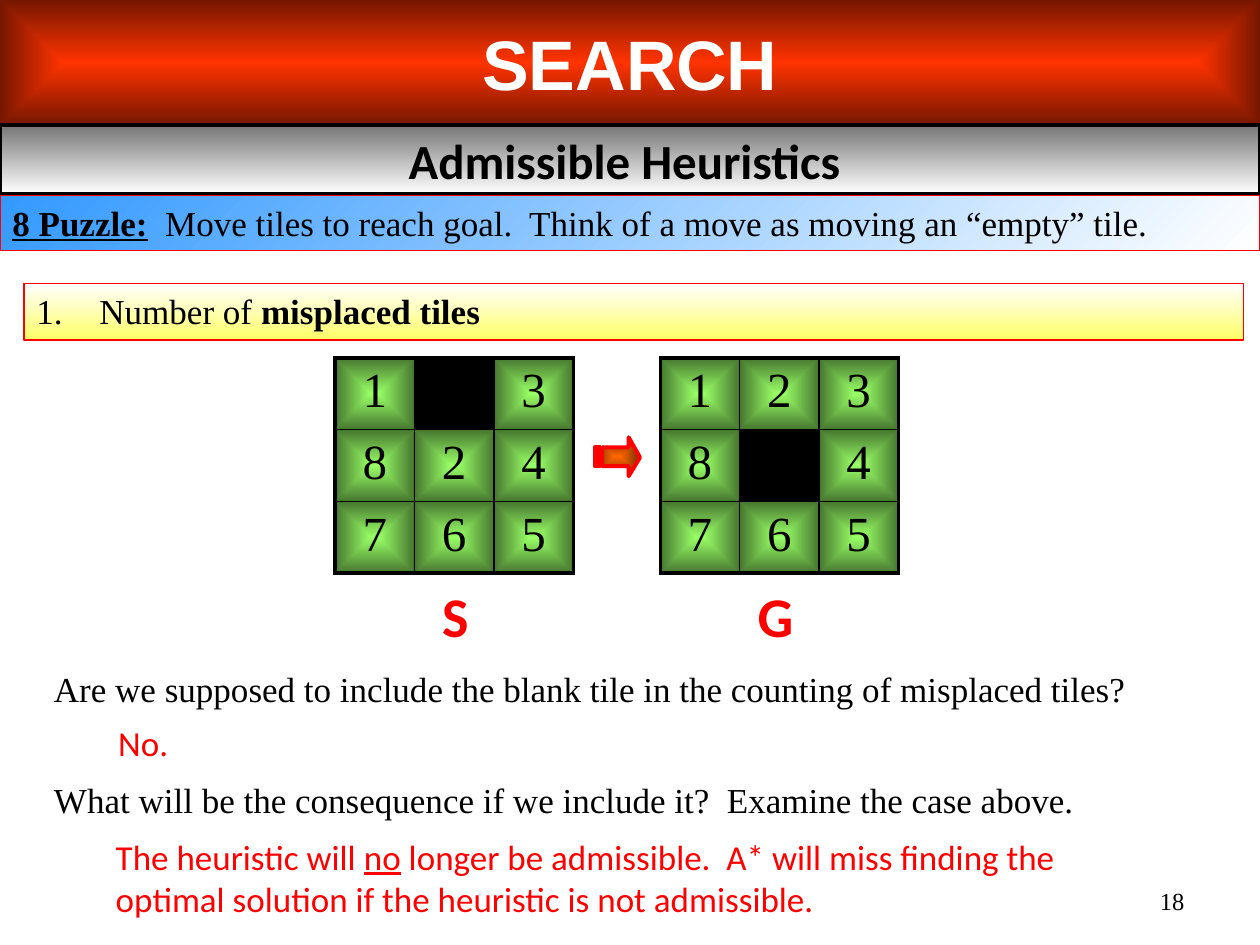
from lxml.etree import SubElement
from pptx import Presentation
from pptx.dml.color import RGBColor
from pptx.enum.shapes import MSO_SHAPE
from pptx.enum.text import MSO_ANCHOR, MSO_AUTO_SIZE, PP_ALIGN
from pptx.oxml import parse_xml
from pptx.oxml.ns import nsdecls, qn
from pptx.util import Inches, Pt

COLORS = {
    "black": "000000", "white": "FFFFFF", "red": "FF0000",
    "banner": "FF3300", "sky": "3399FF", "lemon": "FFFF66",
    "tile": "99FF66", "arrow": "FF6600", "arrow_edge": "762F00",
}
SERIF, SANS = "Times New Roman", "Calibri"
DARKEN = '<a:gamma/><a:shade val="46275"/><a:invGamma/>'
TILE_SIDE, TILE_HEIGHT = 0.63, 0.57


def rgb(name):
    return RGBColor.from_string(COLORS[name])


def stop(position, name, darken=False):
    effect = DARKEN if darken else ""
    return (f'<a:gs pos="{position * 1000}"><a:srgbClr val="{COLORS[name]}">'
            f"{effect}</a:srgbClr></a:gs>")


def set_gradient(owner, properties, first, last, angle=None, path="shape"):
    """Linear gradient when an angle is given, otherwise from the centre."""
    owner.fill.background()
    if angle is None:
        course = (f'<a:path path="{path}"><a:fillToRect l="50000" t="50000" '
                  'r="50000" b="50000"/></a:path>')
    else:
        course = f'<a:lin ang="{angle * 60000}" scaled="1"/>'
    gradient = parse_xml(f'<a:gradFill {nsdecls("a")} rotWithShape="1"><a:gsLst>'
                         f"{first}{last}</a:gsLst>{course}</a:gradFill>")
    properties.replace(properties.find(qn("a:noFill")), gradient)


def set_line(shape, name, width):
    shape.line.color.rgb = rgb(name)
    shape.line.width = Pt(width)


def write(shape, *spans, size=20, font=SERIF, color="black", align=PP_ALIGN.LEFT,
          anchor=MSO_ANCHOR.TOP, wrap=True, grow=False):
    """Each span is (text, styles), where styles may hold "b" and "u"."""
    frame = shape.text_frame
    frame.word_wrap = wrap
    frame.auto_size = MSO_AUTO_SIZE.SHAPE_TO_FIT_TEXT if grow else MSO_AUTO_SIZE.NONE
    frame.vertical_anchor = anchor
    paragraph = frame.paragraphs[0]
    paragraph.alignment = align
    for text, styles in spans:
        span = paragraph.add_run()
        span.text = text
        span.font.size, span.font.name = Pt(size), font
        span.font.color.rgb = rgb(color)
        span.font.bold, span.font.underline = "b" in styles, "u" in styles
    return paragraph


def add_text(page, place, *spans, **style):
    box = page.shapes.add_textbox(*map(Inches, place))
    write(box, *spans, **style)


def add_band(page, place, first, last, angle, line, width, *spans, **style):
    band = page.shapes.add_shape(MSO_SHAPE.RECTANGLE, *map(Inches, place))
    band.shadow.inherit = False
    set_gradient(band, band.element.spPr, first, last, angle)
    set_line(band, line, width)
    return write(band, *spans, **style)


def number_paragraph(paragraph, indent):
    properties = paragraph._p.get_or_add_pPr()
    properties.set("marL", str(Inches(indent)))
    properties.set("indent", str(-Inches(indent)))
    SubElement(properties, qn("a:buFont"), typeface="+mj-lt")
    SubElement(properties, qn("a:buAutoNum"), type="arabicPeriod")


def set_borders(cell, row, column):
    """Thick lines round the puzzle, thin lines between its tiles."""
    outer = {"L": column == 0, "R": column == 2, "T": row == 0, "B": row == 2}
    properties = cell._tc.get_or_add_tcPr()
    for index, (side, thick) in enumerate(outer.items()):
        width = Pt(2.25 if thick else 1)
        properties.insert(index, parse_xml(
            f'<a:ln{side} {nsdecls("a")} w="{width}"><a:solidFill><a:srgbClr '
            f'val="{COLORS["black"]}"/></a:solidFill></a:ln{side}>'))


def add_puzzle(page, left, top, rows):
    frame = page.shapes.add_table(3, 3, Inches(left), Inches(top),
                                  Inches(3 * TILE_SIDE), Inches(3 * TILE_HEIGHT))
    table = frame.table
    table.first_row = table.horz_banding = False
    for row, digits in enumerate(rows):
        table.rows[row].height = Inches(TILE_HEIGHT)
        table.columns[row].width = Inches(TILE_SIDE)
        for column, digit in enumerate(digits):
            cell = table.cell(row, column)
            cell.margin_left = cell.margin_right = Inches(0.09)
            cell.margin_top = cell.margin_bottom = Inches(0.05)
            if digit == " ":
                cell.fill.solid()
                cell.fill.fore_color.rgb = rgb("black")
            else:
                set_gradient(cell, cell._tc.get_or_add_tcPr(),
                             stop(0, "tile"), stop(100, "tile", True))
                paragraph = cell.text_frame.paragraphs[0]
                paragraph.alignment = PP_ALIGN.CENTER
                span = paragraph.add_run()
                span.text = digit
                span.font.size, span.font.name = Pt(28), SERIF
                span.font.color.rgb = rgb("black")
            set_borders(cell, row, column)


def add_striped_arrow(page):
    # Points in hundredths of an inch, as a freeform keeps whole units only
    top, bottom = 355, 370
    head = [(499, 347), (499, top), (478, top), (478, bottom),
            (499, bottom), (499, 378), (508, 363)]
    stripes = [[(left, top), (left, bottom), (right, bottom), (right, top)]
               for left, right in ((474, 476), (472, 473))]
    builder = page.shapes.build_freeform(*head[0], scale=Inches(0.01))
    builder.add_line_segments(head[1:], close=True)
    for stripe in stripes:
        builder.move_to(*stripe[0])
        builder.add_line_segments(stripe[1:], close=True)
    arrow = builder.convert_to_shape()
    arrow.shadow.inherit = False
    set_gradient(arrow, arrow.element.spPr, stop(0, "arrow"),
                 stop(100, "arrow_edge"), path="rect")
    set_line(arrow, "red", 2.25)


def add_title(page, text):
    title = page.shapes.title
    title.left, title.top, title.width, title.height = map(Inches, (0, 0, 10, 0.99))
    set_gradient(title, title.element.spPr, stop(0, "banner"), stop(100, "banner", True))
    write(title, (text, "b"), size=40, font="Arial", color="white",
          align=PP_ALIGN.CENTER, anchor=MSO_ANCHOR.MIDDLE)


def main():
    deck = Presentation()
    deck.slide_width, deck.slide_height = Inches(10), Inches(7.5)
    page = deck.slides.add_slide(deck.slide_layouts[5])

    # Headings
    add_title(page, "SEARCH")
    add_band(page, (0, 0.99, 10, 0.55), stop(0, "white", True), stop(100, "white"),
             90, "black", 2.25, ("Admissible Heuristics ", "b"), size=28, font=SANS,
             align=PP_ALIGN.CENTER, anchor=MSO_ANCHOR.MIDDLE)
    add_band(page, (0, 1.55, 10, 0.44), stop(0, "sky"), stop(100, "white"),
             45, "red", 0.75, ("8 Puzzle:", "bu"),
             ("  Move tiles to reach goal.  Think of a move as moving an "
              "“empty” tile.", ""), grow=True)
    heuristic = add_band(page, (0.19, 2.25, 9.68, 0.45), stop(0, "white"),
                         stop(100, "lemon"), 90, "red", 1, ("Number of ", ""),
                         ("misplaced tiles", "b"), grow=True)
    number_paragraph(heuristic, 0.5)

    # Start and goal puzzles
    add_puzzle(page, 2.66, 2.84, ("1 3", "824", "765"))
    add_puzzle(page, 5.24, 2.84, ("123", "8 4", "765"))
    add_striped_arrow(page)
    for label, left, width in (("S", 3.41, 0.41), ("G", 5.91, 0.49)):
        add_text(page, (left, 4.57, width, 0.64), (label, "b"), size=32, font=SANS,
                 color="red", align=PP_ALIGN.CENTER, wrap=False, grow=True)

    # Questions and answers
    add_text(page, (0.33, 5.25, 8.76, 0.44),
             ("Are we supposed to include the blank tile in the counting of "
              "misplaced tiles?", ""), wrap=False, grow=True)
    add_text(page, (0.84, 5.68, 0.6, 0.44), ("No.", ""), font=SANS, color="red",
             wrap=False, grow=True)
    add_text(page, (0.33, 6.13, 8.35, 0.44),
             ("What will be the consequence if we include it?  Examine the case "
              "above.", ""), wrap=False, grow=True)
    add_text(page, (0.82, 6.58, 8.28, 0.77), ("The heuristic will ", ""), ("no", "u"),
             (" longer be admissible.  A* will miss finding the optimal solution if "
              "the heuristic is not admissible.", ""),
             font=SANS, color="red", grow=True)

    # Page number
    add_text(page, (7.17, 6.95, 2.33, 0.4), ("18", ""), size=14,
             align=PP_ALIGN.RIGHT, anchor=MSO_ANCHOR.MIDDLE)
    deck.save("out.pptx")


main()
